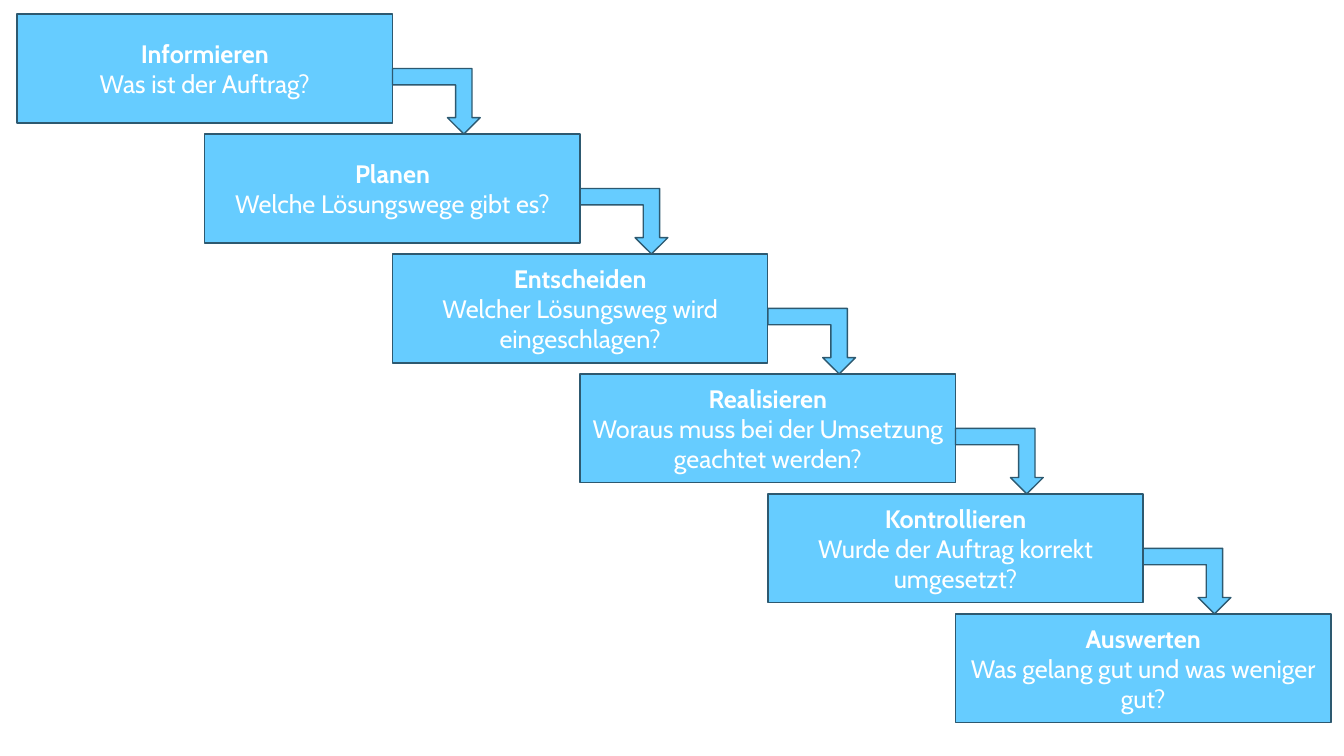
from dataclasses import dataclass

from pptx import Presentation
from pptx.dml.color import RGBColor
from pptx.enum.shapes import MSO_SHAPE as Shape
from pptx.enum.text import MSO_ANCHOR as Anchor, PP_ALIGN as Align
from pptx.util import Inches, Pt


@dataclass(frozen=True)
class Theme:
    fill: RGBColor = RGBColor.from_string("66CCFF")
    outline: RGBColor = RGBColor.from_string("2D5970")
    text: RGBColor = RGBColor.from_string("FFFFFF")
    font: str = "Cabin"
    size: Pt = Pt(18)
    line_width: Pt = Pt(1)


THEME = Theme()
SLIDE_WIDTH, SLIDE_HEIGHT = 13.33, 7.5
STAIRCASE = (0.17, 0.14, 13.03, 7.03)
STEP_HEIGHT = 1.08
ARROW_WIDTH, ARROW_HEIGHT = 0.87, 0.65

PHASES = [
    ("Informieren", "Was ist der Auftrag?"),
    ("Planen", "Welche Lösungswege gibt es?"),
    ("Entscheiden", "Welcher Lösungsweg wird eingeschlagen?"),
    ("Realisieren", "Woraus muss bei der Umsetzung geachtet werden?"),
    ("Kontrollieren", "Wurde der Auftrag korrekt umgesetzt?"),
    ("Auswerten", "Was gelang gut und was weniger gut?"),
]


def add_styled_shape(slide, kind, left, top, width, height):
    shape = slide.shapes.add_shape(
        kind, Inches(left), Inches(top), Inches(width), Inches(height)
    )
    shape.shadow.inherit = False
    shape.fill.solid()
    shape.fill.fore_color.rgb = THEME.fill
    shape.line.color.rgb = THEME.outline
    shape.line.width = THEME.line_width
    return shape


def add_phase(slide, box, title, question):
    frame = add_styled_shape(slide, Shape.RECTANGLE, *box).text_frame
    frame.word_wrap = True
    frame.vertical_anchor = Anchor.MIDDLE
    frame.text = f"{title}\n{question}"
    for paragraph, bold in zip(frame.paragraphs, (True, False)):
        paragraph.alignment = Align.CENTER
        paragraph.font.name = THEME.font
        paragraph.font.size = THEME.size
        paragraph.font.bold = bold
        paragraph.font.color.rgb = THEME.text


def add_down_arrow(slide, left, bottom):
    arrow = add_styled_shape(
        slide, Shape.BENT_UP_ARROW,
        left, bottom - ARROW_HEIGHT, ARROW_WIDTH, ARROW_HEIGHT,
    )
    arrow._element.spPr.get_or_add_xfrm().set("flipV", "1")


def add_staircase(slide, box, phases):
    """Each phase starts halfway along the one above it."""
    left, top, width, height = box
    column = width / (len(phases) + 1)
    row = (height - STEP_HEIGHT) / (len(phases) - 1)
    corners = [(left + i * column, top + i * row) for i in range(len(phases))]
    for (x, y), (title, question) in zip(corners, phases):
        add_phase(slide, (x, y, 2 * column, STEP_HEIGHT), title, question)
    for x, y in corners[1:]:
        add_down_arrow(slide, x + column, y)


def main():
    deck = Presentation()
    deck.slide_width = Inches(SLIDE_WIDTH)
    deck.slide_height = Inches(SLIDE_HEIGHT)
    slide = deck.slides.add_slide(deck.slide_layouts[6])
    add_staircase(slide, STAIRCASE, PHASES)
    deck.save("out.pptx")


if __name__ == "__main__":
    main()
